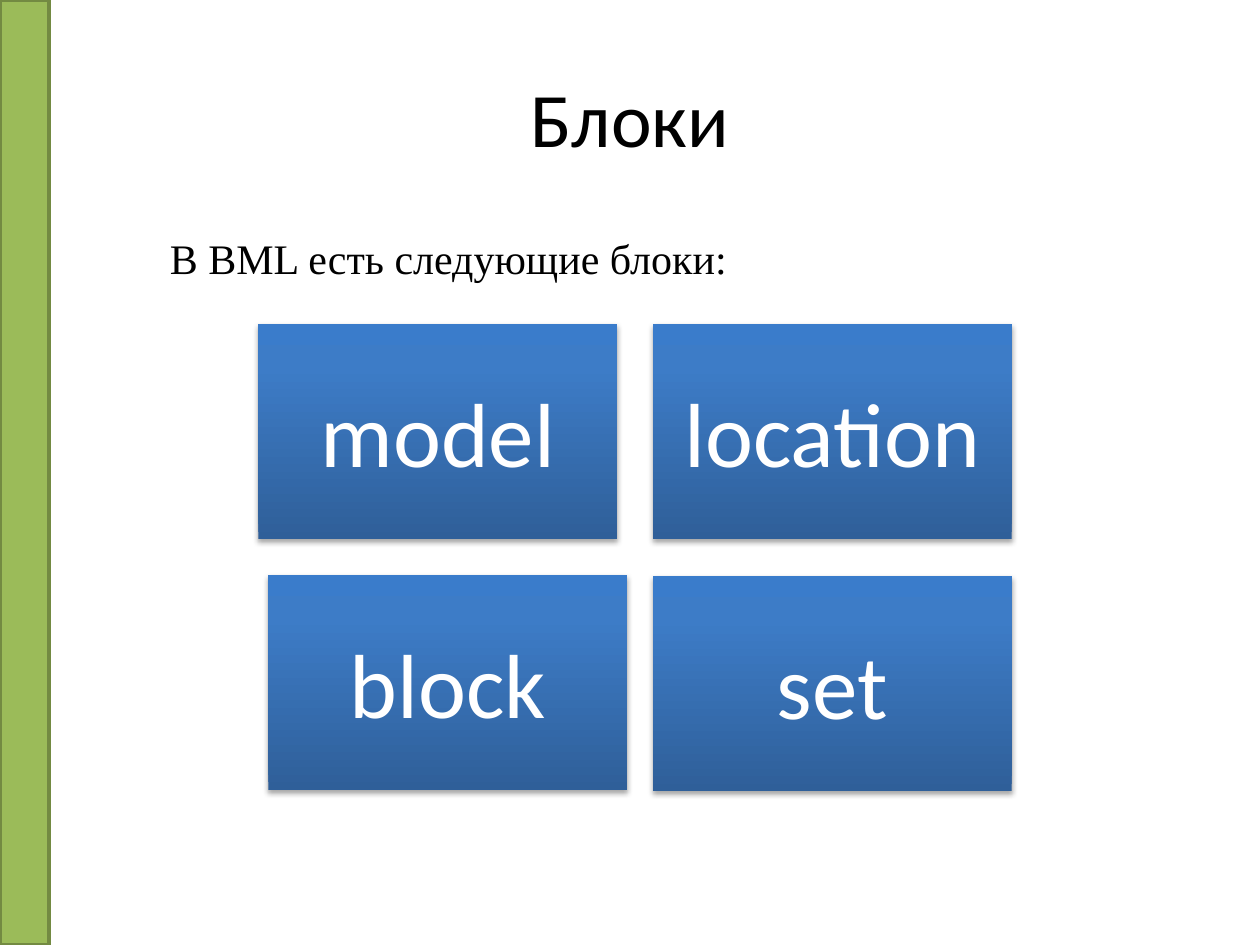
"""Build the slide that lists the BML blocks."""
from lxml import etree
from pptx import Presentation
from pptx.dml.color import RGBColor
from pptx.enum.shapes import MSO_SHAPE
from pptx.enum.text import MSO_ANCHOR, PP_ALIGN
from pptx.oxml.ns import qn
from pptx.util import Inches, Pt

RECTANGLE = MSO_SHAPE.RECTANGLE
MIDDLE, TOP = MSO_ANCHOR.MIDDLE, MSO_ANCHOR.TOP
CENTER, LEFT = PP_ALIGN.CENTER, PP_ALIGN.LEFT

BLACK = RGBColor(0x00, 0x00, 0x00)
WHITE = RGBColor(0xFF, 0xFF, 0xFF)
GREEN = RGBColor(0x9B, 0xBB, 0x59)
DARK_GREEN = RGBColor(0x73, 0x8A, 0x42)
BLOCK_GRADIENT = [
    (0, RGBColor(0x2F, 0x5F, 0x99)),
    (80, RGBColor(0x3D, 0x7C, 0xC7)),
    (100, RGBColor(0x3A, 0x7C, 0xCB)),
]

TITLE = "Блоки"
INTRO = "В BML есть следующие блоки:"
BLOCKS = [
    ("model", 2.05, 2.57),
    ("location", 5.18, 2.57),
    ("block", 2.13, 4.56),
    ("set", 5.18, 4.57),
]
BLOCK_WIDTH, BLOCK_HEIGHT, BLOCK_INSET = 2.85, 1.71, 0.22


def write(shape, text, size, font_name, color, align, anchor):
    frame = shape.text_frame
    frame.text = text
    frame.word_wrap = True
    frame.vertical_anchor = anchor
    paragraph = frame.paragraphs[0]
    paragraph.alignment = align
    font = paragraph.runs[0].font
    font.size, font.name = Pt(size), font_name
    font.color.rgb = color


def add_text(slide, box, *style):
    write(slide.shapes.add_textbox(*map(Inches, box)), *style)


def add_rectangle(slide, *box):
    shape = slide.shapes.add_shape(RECTANGLE, *map(Inches, box))
    shape.shadow.inherit = False
    return shape


def add_color(parent, color):
    return etree.SubElement(parent, qn("a:srgbClr"), val=str(color))


def fill_gradient(shape, stops):
    shape.fill.gradient()
    shape.fill.gradient_angle = 90
    stop_list = shape.element.spPr.find(".//" + qn("a:gsLst"))
    stop_list.clear()
    for position, color in stops:
        add_color(etree.SubElement(stop_list, qn("a:gs"), pos=str(position * 1000)), color)


def add_shadow(shape):
    effects = shape.element.spPr.find(qn("a:effectLst"))
    shadow = etree.SubElement(
        effects, qn("a:outerShdw"), blurRad=str(Pt(3.1)), dist=str(Pt(1.8)),
        dir="5400000", rotWithShape="0")
    etree.SubElement(add_color(shadow, BLACK), qn("a:alpha"), val="35000")


def add_block(slide, name, left, top):
    block = add_rectangle(slide, left, top, BLOCK_WIDTH, BLOCK_HEIGHT)
    fill_gradient(block, BLOCK_GRADIENT)
    block.line.fill.background()
    add_shadow(block)
    write(block, name, 52, "Calibri", WHITE, CENTER, MIDDLE)
    frame = block.text_frame
    frame.margin_left = frame.margin_right = Inches(BLOCK_INSET)
    frame.margin_top = frame.margin_bottom = Inches(BLOCK_INSET)


presentation = Presentation()
presentation.slide_width, presentation.slide_height = Inches(10), Inches(7.5)
slide = presentation.slides.add_slide(presentation.slide_layouts[6])

add_text(slide, (0.5, 0.3, 9, 1.25), TITLE, 44, "Calibri", BLACK, CENTER, MIDDLE)

side_bar = add_rectangle(slide, 0, 0, 0.39, 7.5)
side_bar.fill.solid()
side_bar.fill.fore_color.rgb = GREEN
side_bar.line.color.rgb = DARK_GREEN
side_bar.line.width = Pt(2)

for name, left, top in BLOCKS:
    add_block(slide, name, left, top)

add_text(slide, (1.25, 1.8, 8.12, 0.5), INTRO, 24, "Times New Roman", BLACK, LEFT, TOP)

presentation.save("out.pptx")
